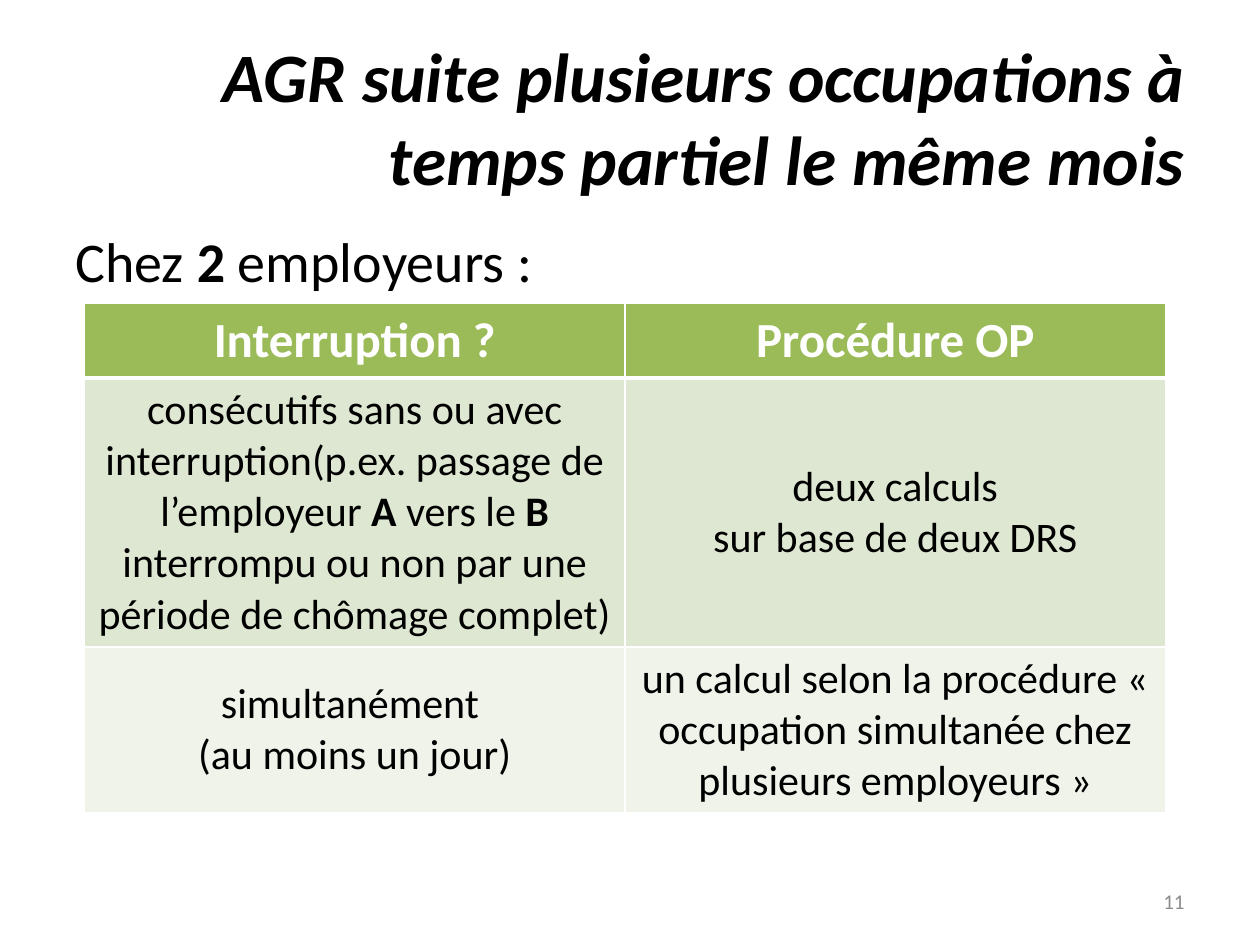
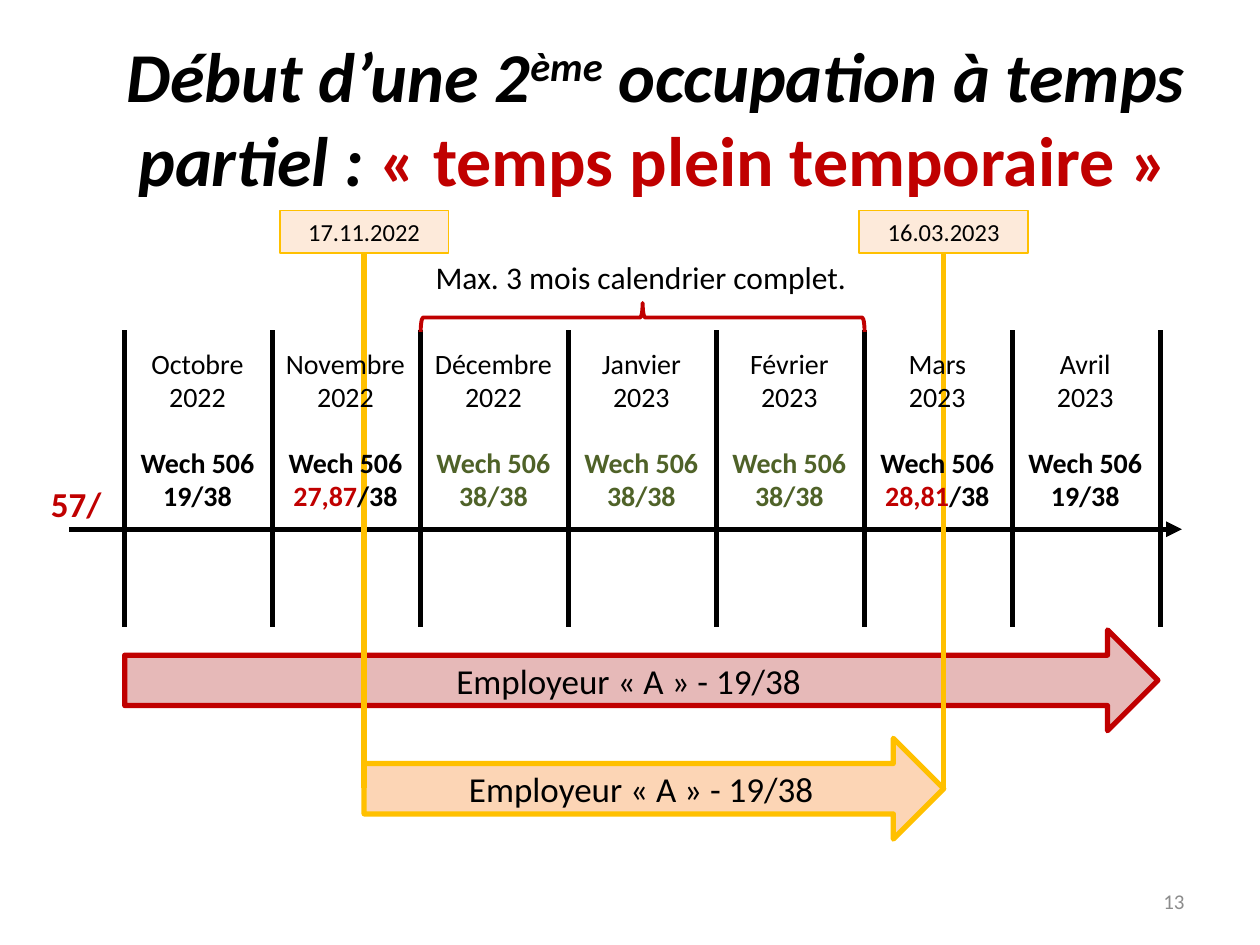
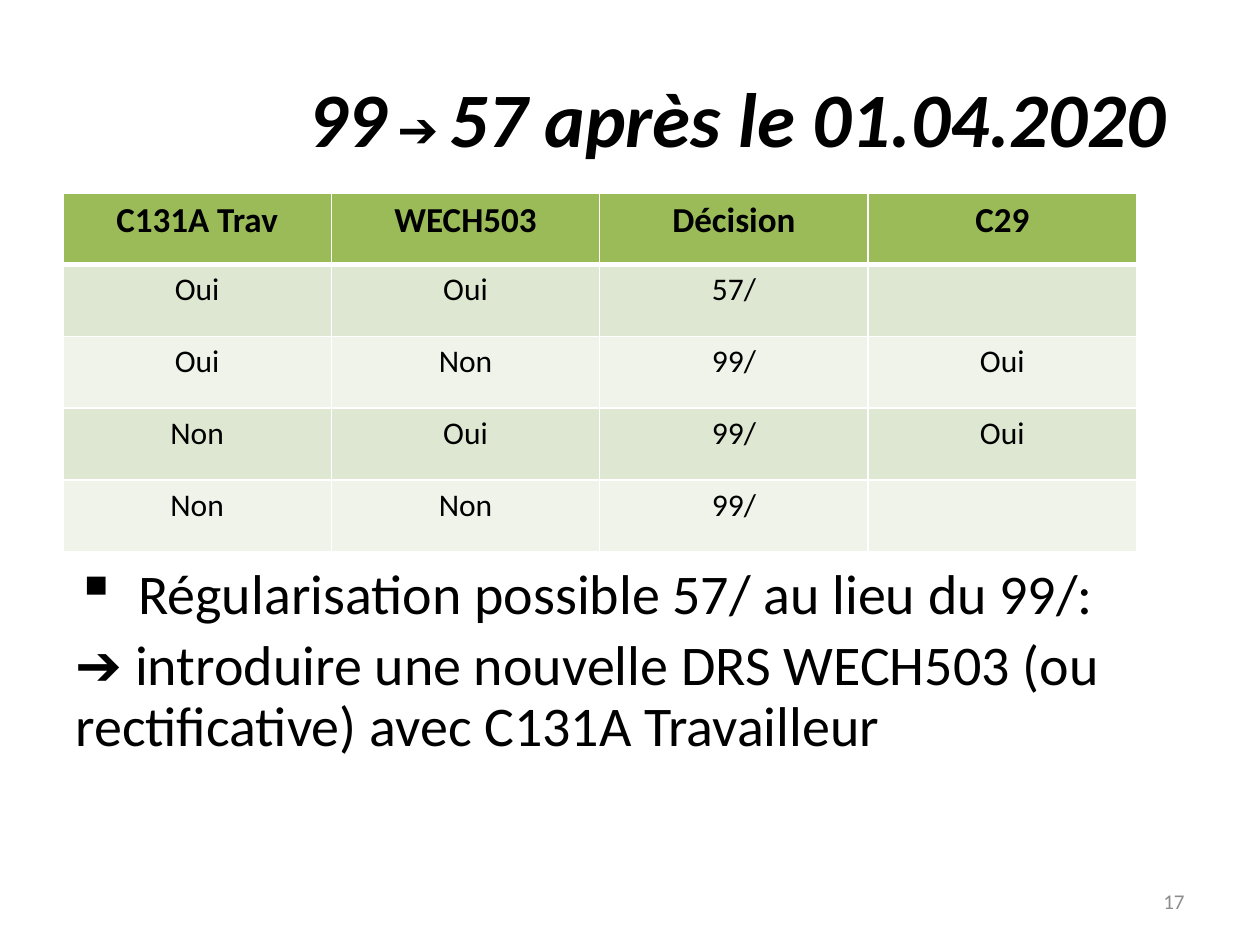
import pptx
import pptx.util
import pptx.dml.color
import pptx.enum.shapes
import pptx.enum.text
import pptx.oxml.ns
import lxml.etree

Inches = pptx.util.Inches
Pt = pptx.util.Pt
SHAPE = pptx.enum.shapes.MSO_SHAPE
ALIGN = pptx.enum.text.PP_ALIGN
ANCHOR = pptx.enum.text.MSO_ANCHOR

# Shared look
FONT = "Calibri"
BLACK, WHITE, GREY = "000000", "FFFFFF", "8C8C8C"
RED, GOLD, DARK_GREEN = "C00000", "FFC000", "4F6228"
PINK, PEACH, CREAM = "E6B9B8", "FCD5B5", "FDEADA"
HEADER_GREEN, BANDS = "9BBB59", ("DEE7D1", "EFF3EA")
TITLE_BOX = (0.5, 0.3, 9, 1.25)
NUMBER_BOX = (7.17, 6.95, 2.33, 0.4)


def rgb(code):
    return pptx.dml.color.RGBColor.from_string(code)


def add_xml(parent, tag, **attributes):
    return lxml.etree.SubElement(parent, pptx.oxml.ns.qn(tag), attributes)


def inches(box):
    return [Inches(value) for value in box]


# Text
def style_font(font, values):
    for name, value in values.items():
        if name == "color":
            font.color.rgb = rgb(value)
        else:
            setattr(font, name, value)


def fill_paragraph(para, parts, size, align=ALIGN.LEFT, **style):
    """Each part is a string or a (string, changes) pair."""
    para.alignment = align
    base = {"name": FONT, "size": Pt(size), "color": BLACK,
            "bold": False, "italic": False} | style
    for part in [parts] if isinstance(parts, str) else parts:
        text, changes = (part, {}) if isinstance(part, str) else part
        changes = dict(changes)
        baseline = changes.pop("baseline", None)
        span = para.add_run()
        span.text = text
        style_font(span.font, base | changes)
        if baseline:
            span.font._element.set("baseline", str(baseline))


def write(frame, paragraphs, size, anchor=ANCHOR.MIDDLE, inset=0.1, **style):
    settings = {"word_wrap": True, "vertical_anchor": anchor,
                "auto_size": pptx.enum.text.MSO_AUTO_SIZE.NONE,
                "margin_left": Inches(inset), "margin_right": Inches(inset),
                "margin_top": Inches(inset / 2), "margin_bottom": Inches(inset / 2)}
    for name, value in settings.items():
        setattr(frame, name, value)
    for index, parts in enumerate(paragraphs):
        para = frame.add_paragraph() if index else frame.paragraphs[0]
        fill_paragraph(para, parts, size, **style)


def add_text(page, box, paragraphs, size, **style):
    label = page.shapes.add_textbox(*inches(box))
    write(label.text_frame, paragraphs, size, **style)
    return label


# Shapes and lines
def add_shape(page, kind, box, line, width, fill=None):
    shape = page.shapes.add_shape(kind, *inches(box))
    shape.shadow.inherit = False
    if fill:
        shape.fill.solid()
        shape.fill.fore_color.rgb = rgb(fill)
    else:
        shape.fill.background()
    shape.line.color.rgb = rgb(line)
    shape.line.width = Pt(width)
    return shape


def add_line(page, start, end, color=BLACK, arrow=False):
    line = page.shapes.add_connector(
        pptx.enum.shapes.MSO_CONNECTOR.STRAIGHT, *inches(start + end))
    line.line.color.rgb = rgb(color)
    line.line.width = Pt(3)
    if arrow:
        add_xml(line.line._get_or_add_ln(), "a:tailEnd", type="triangle")
    add_xml(line._element.spPr, "a:effectLst")


# Tables
def style_cell(cell, fill, header):
    properties = cell._tc.get_or_add_tcPr()
    for side in "LRTB":
        width = Pt(3 if header and side == "B" else 1)
        border = add_xml(properties, f"a:ln{side}", w=str(width))
        solid = add_xml(border, "a:solidFill")
        add_xml(solid, "a:srgbClr", val=WHITE)
    cell.fill.solid()
    cell.fill.fore_color.rgb = rgb(fill)


def add_table(page, left, top, column_width, heights, rows,
              header_style, body_style, anchor):
    """Each cell is a list of paragraphs."""
    columns = len(rows[0])
    table = page.shapes.add_table(
        len(rows), columns,
        *inches((left, top, column_width * columns, sum(heights)))).table
    table.horz_banding = False
    for column in table.columns:
        column.width = Inches(column_width)
    for number, (height, row) in enumerate(zip(heights, rows)):
        table.rows[number].height = Inches(height)
        header = number == 0
        fill = HEADER_GREEN if header else BANDS[(number - 1) % 2]
        for cell, paragraphs in zip(table.rows[number].cells, row):
            style_cell(cell, fill, header)
            cell.vertical_anchor = anchor
            for index, parts in enumerate(paragraphs):
                frame = cell.text_frame
                para = frame.add_paragraph() if index else frame.paragraphs[0]
                fill_paragraph(para, parts, align=ALIGN.CENTER,
                               **(header_style if header else body_style))


# Page with title and number
def add_page(deck, title, size, number):
    page = deck.slides.add_slide(deck.slide_layouts[5])
    heading = page.shapes.title
    heading.left, heading.top, heading.width, heading.height = inches(TITLE_BOX)
    write(heading.text_frame, [title], size, align=ALIGN.RIGHT,
          bold=True, italic=True)
    add_text(page, NUMBER_BOX, [str(number)], 12, align=ALIGN.RIGHT, color=GREY)
    return page


# Slide: two employers
def build_employers(deck):
    page = add_page(
        deck, "AGR suite plusieurs occupations à temps partiel le même mois", 39.6, 11)
    bold = {"bold": True}
    add_text(page, (0.5, 1.75, 9, 0.65), [["Chez ", ("2", bold), " employeurs :"]],
             32, anchor=ANCHOR.TOP)
    rows = [
        [["Interruption ?"], ["Procédure OP"]],
        [[["consécutifs sans ou avec interruption(p.ex. passage de l’employeur ",
           ("A", bold), " vers le ", ("B", bold),
           " interrompu ou non par une période de chômage complet)"]],
         ["deux calculs", "sur base de deux DRS"]],
        [["simultanément ", "(au moins un jour)"],
         ["un calcul selon la procédure « occupation simultanée chez "
          "plusieurs employeurs »"]],
    ]
    add_table(page, 0.67, 2.41, 4.29, (0.59, 1.71, 0.93), rows,
              {"size": 28, "color": WHITE, "bold": True}, {"size": 24},
              ANCHOR.MIDDLE)


# Slide: timeline
MONTHS = [
    ("Octobre", "2022", "19", BLACK, BLACK),
    ("Novembre", "2022", "27,87", RED, BLACK),
    ("Décembre", "2022", "38", DARK_GREEN, DARK_GREEN),
    ("Janvier", "2023", "38", DARK_GREEN, DARK_GREEN),
    ("Février", "2023", "38", DARK_GREEN, DARK_GREEN),
    ("Mars", "2023", "28,81", RED, BLACK),
    ("Avril", "2023", "19", BLACK, BLACK),
]


def add_months(page, left, top, width, height):
    step = width / len(MONTHS)
    label_height = height / 3
    for index in range(len(MONTHS) + 1):
        x = left + index * step
        add_line(page, (x, top), (x, top + height))
    for index, (month, year, hours, hours_color, color) in enumerate(MONTHS):
        x = left + index * step - 0.01
        style = {"align": ALIGN.CENTER, "inset": 0}
        add_text(page, (x, top, step, label_height), [month, year], 16, **style)
        add_text(page, (x, top + label_height, step, label_height),
                 ["Wech 506", [(hours, {"color": hours_color}), "/38"]],
                 16, bold=True, color=color, **style)
    # Brace over the three full months
    span, depth = 3 * step, 0.23
    center_x, center_y = left + 3.5 * step, top - 0.1
    brace = add_shape(page, SHAPE.LEFT_BRACE,
                      (center_x - depth / 2, center_y - span / 2, depth, span),
                      RED, 2.25)
    brace.rotation = 90
    add_text(page, (left + 2 * step + 0.02, top - 0.62, 3.51, 0.4),
             ["Max. 3 mois calendrier complet."], 18, anchor=ANCHOR.TOP)


def add_job_arrow(page, left, top, width, line, fill):
    arrow = add_shape(page, SHAPE.RIGHT_ARROW, (left, top, width, 0.8), line, 3, fill)
    write(arrow.text_frame, ["Employeur «\u00a0A\u00a0» - 19/38"], 20,
          align=ALIGN.CENTER)


def add_date(page, x, top, date):
    width, height = 1.34, 0.34
    add_line(page, (x, top + height), (x, 6.25), GOLD)
    flag = add_shape(page, SHAPE.RECTANGLE, (x - width / 2, top, width, height),
                     GOLD, 1, CREAM)
    write(flag.text_frame, [date], 14, align=ALIGN.CENTER)


def build_timeline(deck):
    upright = {"color": RED, "italic": False}
    page = add_page(
        deck, ["Début d’une 2", ("ème", {"baseline": 30000}),
               " occupation à temps partiel :",
               (" «\u00a0temps plein temporaire\u00a0» ", upright)], 40, 13)
    left, width = 0.99, 8.22
    start, end = 2.89, 7.49
    add_line(page, (0.55, 4.2), (9.38, 4.2), arrow=True)
    add_text(page, (0.16, 3.68, 0.89, 0.64), ["57/"], 20,
             align=ALIGN.CENTER, bold=True, color=RED)
    add_job_arrow(page, left, 5, 8.2, RED, PINK)
    add_job_arrow(page, start, 5.86, end - start, GOLD, PEACH)
    add_date(page, start, 1.67, "17.11.2022")
    add_date(page, end, 1.67, "16.03.2023")
    add_months(page, left, 2.62, width, 2.36)


# Slide: decision table
def add_regularisation(page, box):
    label = add_text(
        page, box,
        ["Régularisation possible 57/ au lieu du 99/:",
         "➔ introduire une nouvelle DRS WECH503 (ou rectificative) "
         "avec C131A Travailleur"], 32, anchor=ANCHOR.TOP)
    first, second = label.text_frame.paragraphs
    properties = first._p.get_or_add_pPr()
    properties.set("marL", str(Inches(0.5)))
    properties.set("indent", str(-Inches(0.5)))
    add_xml(properties, "a:buChar", char="▪")
    first.line_spacing = second.line_spacing = 0.9
    second.space_before = Pt(6.4)


def build_decisions(deck):
    page = add_page(deck, ["99", (" ➔ ", {"size": Pt(28)}),
                           "57 après le 01.04.2020 "], 44, 17)
    values = [
        ("C131A Trav", "WECH503", "Décision", "C29"),
        ("Oui", "Oui", "57/", ""),
        ("Oui", "Non", "99/", "Oui"),
        ("Non", "Oui", "99/", "Oui"),
        ("Non", "Non", "99/", ""),
    ]
    rows = [[[text] if text else [] for text in row] for row in values]
    add_regularisation(page, (0.5, 4.44, 9, 2.26))
    add_table(page, 0.5, 1.53, 2.13, [0.57] * len(rows), rows,
              {"size": 20, "bold": True}, {"size": 18}, ANCHOR.TOP)


def main():
    deck = pptx.Presentation()
    deck.slide_width, deck.slide_height = Inches(10), Inches(7.5)
    build_employers(deck)
    build_timeline(deck)
    build_decisions(deck)
    deck.save("out.pptx")


if __name__ == "__main__":
    main()
